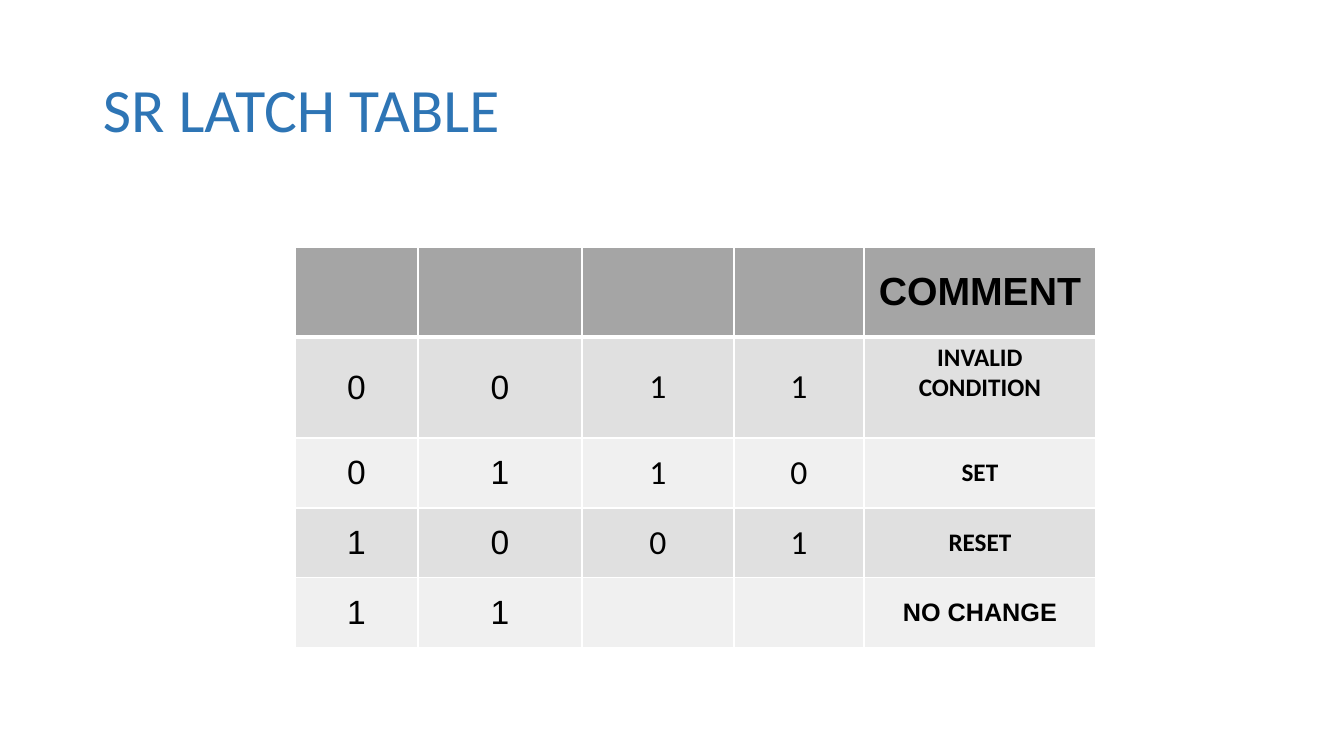
import pptx
import pptx.dml.color
import pptx.enum.text
import pptx.oxml
import pptx.oxml.ns
import pptx.util

PX = 914400 / 100.8
MIDDLE = pptx.enum.text.MSO_ANCHOR.MIDDLE
CENTER = pptx.enum.text.PP_ALIGN.CENTER


def color(value):
    return pptx.dml.color.RGBColor.from_string(value)


def write(frame, text, size, font="Calibri", fill="000000", bold=False, align=None, spacing=None):
    frame.word_wrap = True
    paragraph = frame.paragraphs[0]
    paragraph.alignment = align
    paragraph.line_spacing = spacing
    run = paragraph.add_run()
    run.text = text
    run.font.size = pptx.util.Pt(size)
    run.font.name = font
    run.font.bold = bold
    run.font.color.rgb = color(fill)


presentation = pptx.Presentation()
presentation.slide_width = round(1344 * PX)
presentation.slide_height = round(756 * PX)
slide = presentation.slides.add_slide(presentation.slide_layouts[6])

# Title
title = slide.shapes.add_textbox(*[round(n * PX) for n in (93, 40, 1159, 146)])
title.text_frame.vertical_anchor = MIDDLE
write(title.text_frame, "SR LATCH TABLE", 44, fill="2E75B5", spacing=0.9)

# Table grid
column_widths = [123, 164, 152, 130, 232]
row_heights = [90, 101, 70, 70, 70]
latch_rows = [
    ["", "", "", "", "COMMENT"],
    ["0", "0", "1", "1", "INVALID CONDITION"],
    ["0", "1", "1", "0", "SET"],
    ["1", "0", "0", "1", "RESET"],
    ["1", "1", "", "", "NO CHANGE"],
]
frame_box = (295, 247, sum(column_widths), sum(row_heights))
table = slide.shapes.add_table(5, 5, *[round(n * PX) for n in frame_box]).table
table.first_row = False
table.horz_banding = False
for column, width in zip(table.columns, column_widths):
    column.width = round(width * PX)
for row, height in zip(table.rows, row_heights):
    row.height = round(height * PX)

# Cells
for r, values in enumerate(latch_rows):
    for c, text in enumerate(values):
        cell = table.cell(r, c)
        cell.vertical_anchor = MIDDLE

        # White borders, thicker under the header
        for side in "LRTB":
            points = 3 if (r, side) in ((0, "B"), (1, "T")) else 1
            cell._tc.get_or_add_tcPr().append(pptx.oxml.parse_xml(
                f'<a:ln{side} {pptx.oxml.ns.nsdecls("a")} w="{points * 12700}">'
                f'<a:solidFill><a:srgbClr val="FFFFFF"/></a:solidFill></a:ln{side}>'))
        cell.fill.solid()
        cell.fill.fore_color.rgb = color("A5A5A5" if r == 0 else "E0E0E0" if r % 2 else "F0F0F0")

        if text:
            comment = c == 4
            size = 24 if not comment else 28 if r == 0 else 18
            arial = c < 2 or (comment and r in (0, 4))
            write(cell.text_frame, text, size, font="Arial" if arial else "Calibri",
                  bold=comment, align=CENTER)

# The two-line comment sits high in its cell
table.cell(1, 4).margin_bottom = round(35 * PX)

presentation.save("out.pptx")
